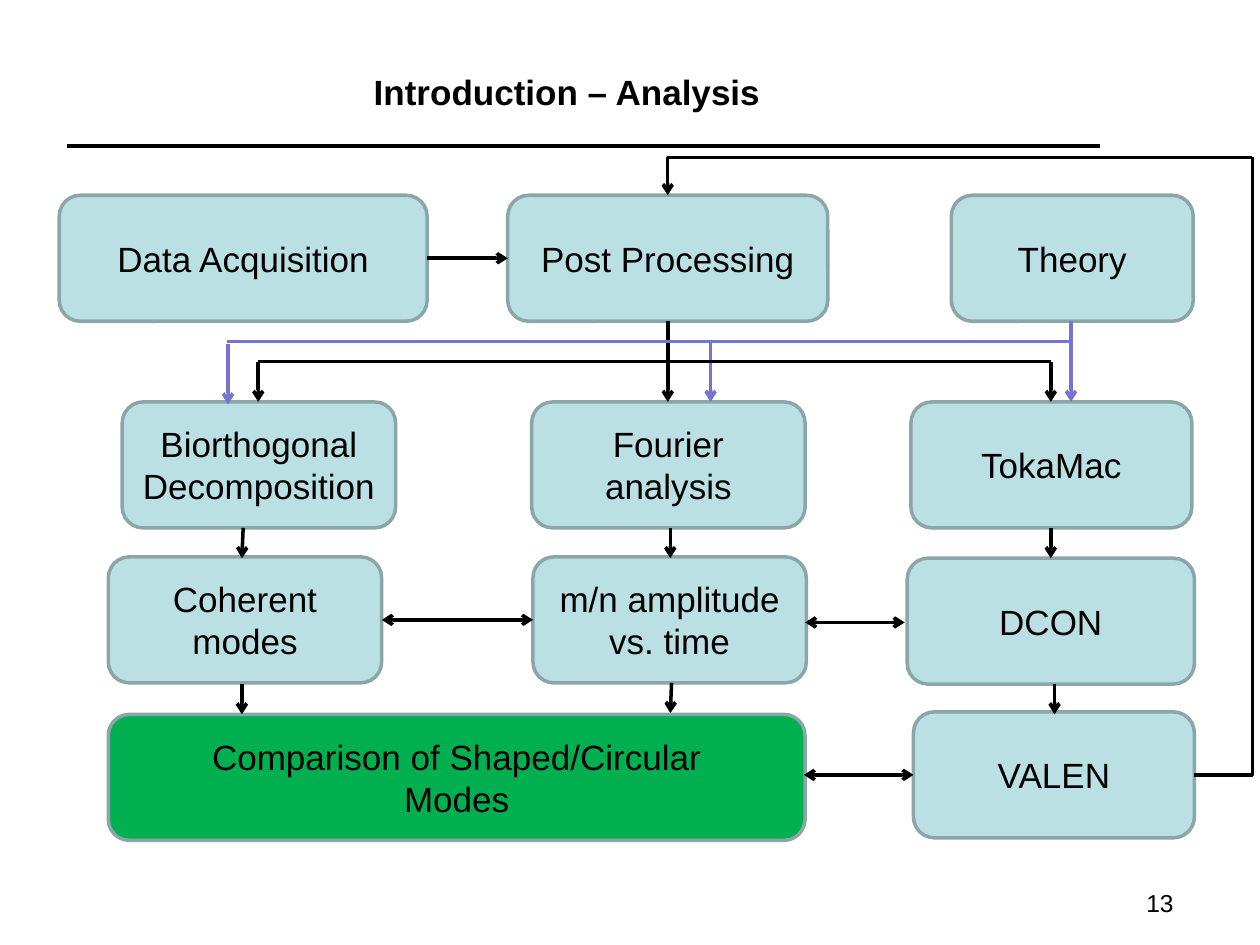
"""Build the analysis flow chart slide."""
from lxml.etree import SubElement
from pptx import Presentation
from pptx.dml.color import RGBColor
from pptx.enum.shapes import MSO_CONNECTOR, MSO_SHAPE
from pptx.enum.text import MSO_ANCHOR, PP_ALIGN
from pptx.oxml.ns import qn
from pptx.util import Inches, Pt

BLACK = RGBColor(0x00, 0x00, 0x00)
PALE_BLUE = RGBColor(0xBB, 0xE0, 0xE3)
GREEN = RGBColor(0x00, 0xB0, 0x50)
OUTLINE = RGBColor(0x8A, 0xA6, 0xA8)
VIOLET = RGBColor(0x75, 0x75, 0xD1)

FONT = "Arial"
BOX_HEIGHT = 1
VERTICAL_FIRST, HORIZONTAL_FIRST = 0, 100000

TITLE = "Introduction – Analysis"
PAGE_NUMBER = "13"

BOXES = [
    ("Data Acquisition", 0.47, 1.55, 2.92, PALE_BLUE),
    ("Post Processing", 4.03, 1.55, 2.54, PALE_BLUE),
    ("Theory", 7.55, 1.55, 1.92, PALE_BLUE),
    ("Biorthogonal Decomposition", 0.97, 3.19, 2.17, PALE_BLUE),
    ("Fourier analysis", 4.22, 3.19, 2.17, PALE_BLUE),
    ("TokaMac", 7.23, 3.19, 2.23, PALE_BLUE),
    ("Coherent modes", 0.86, 4.42, 2.17, PALE_BLUE),
    ("m/n amplitude vs. time", 4.23, 4.42, 2.17, PALE_BLUE),
    ("DCON", 7.2, 4.43, 2.28, PALE_BLUE),
    ("Comparison of Shaped/Circular\nModes", 0.86, 5.67, 5.53, GREEN),
    ("VALEN", 7.25, 5.65, 2.23, PALE_BLUE),
]
ARROWS = [
    ((3.39, 2.05), (4.03, 2.05), BLACK),
    ((5.3, 2.55), (5.3, 3.19), BLACK),
    ((2.05, 2.87), (2.05, 3.19), BLACK),
    ((8.34, 2.87), (8.34, 3.19), BLACK),
    ((8.5, 2.55), (8.5, 3.19), VIOLET),
    ((5.64, 2.71), (5.64, 3.19), VIOLET),
    ((1.81, 2.73), (1.81, 3.21), VIOLET),
    ((1.93, 4.19), (1.92, 4.43), BLACK),
    ((5.32, 4.19), (5.32, 4.43), BLACK),
    ((8.34, 4.19), (8.34, 4.43), BLACK),
    ((1.92, 5.43), (1.92, 5.67), BLACK),
    ((5.33, 5.42), (5.32, 5.66), BLACK),
    ((8.37, 5.43), (8.37, 5.67), BLACK),
]
DOUBLE_ARROWS = [
    ((3.03, 4.92), (4.23, 4.92)),
    ((6.39, 4.94), (7.18, 4.94)),
    ((6.38, 6.15), (7.25, 6.15)),
]
ELBOWS = [
    ((5.3, 2.55), (2.05, 2.87), BLACK, VERTICAL_FIRST, ()),
    ((5.3, 2.55), (8.34, 2.87), BLACK, VERTICAL_FIRST, ()),
    ((8.5, 2.55), (1.8, 2.71), VIOLET, VERTICAL_FIRST, ()),
    ((9.94, 1.25), (9.48, 6.15), BLACK, VERTICAL_FIRST, ()),
    ((9.94, 1.25), (5.3, 1.55), BLACK, HORIZONTAL_FIRST, ("tailEnd",)),
]


def style_text(tf, size, align, bold=False):
    tf.word_wrap = True
    for p in tf.paragraphs:
        p.alignment = align
        for r in p.runs:
            r.font.name = FONT
            r.font.size = Pt(size)
            r.font.bold = bold
            r.font.color.rgb = BLACK


def add_box(s, text, left, top, width, fill):
    sp = s.shapes.add_shape(MSO_SHAPE.ROUNDED_RECTANGLE, Inches(left), Inches(top),
                            Inches(width), Inches(BOX_HEIGHT))
    sp.shadow.inherit = False
    sp.fill.solid()
    sp.fill.fore_color.rgb = fill
    sp.line.color.rgb = OUTLINE
    sp.line.width = Pt(2)
    sp.text_frame.text = text
    sp.text_frame.vertical_anchor = MSO_ANCHOR.MIDDLE
    style_text(sp.text_frame, 20, PP_ALIGN.CENTER)


def add_line(s, start, end, color=BLACK, ends=(), kind=MSO_CONNECTOR.STRAIGHT):
    line = s.shapes.add_connector(kind, *(Inches(v) for v in start + end))
    line.line.color.rgb = color
    line.line.width = Pt(2)
    ln = line.line._get_or_add_ln()
    for tag in ends:
        SubElement(ln, qn(f"a:{tag}"), type="arrow")
    SubElement(line._element.spPr, qn("a:effectLst"))
    return line


def add_elbow(s, start, end, color, bend, ends):
    line = add_line(s, start, end, color, ends, MSO_CONNECTOR.ELBOW)
    guides = line._element.spPr.find(qn("a:prstGeom")).get_or_add_avLst()
    SubElement(guides, qn("a:gd"), name="adj1", fmla=f"val {bend}")


def main():
    prs = Presentation()
    prs.slide_width, prs.slide_height = Inches(10), Inches(7.5)
    s = prs.slides.add_slide(prs.slide_layouts[5])

    title = s.shapes.title
    title.left, title.top = Inches(0.25), Inches(0.35)
    title.width, title.height = Inches(8.5), Inches(0.75)
    title.text_frame.text = TITLE
    title.text_frame.vertical_anchor = MSO_ANCHOR.MIDDLE
    style_text(title.text_frame, 20, PP_ALIGN.CENTER, bold=True)
    add_line(s, (0.53, 1.16), (8.73, 1.16))

    number = s.shapes.add_textbox(Inches(9), Inches(7), Inches(0.5), Inches(0.35))
    number.text_frame.text = PAGE_NUMBER
    style_text(number.text_frame, 14, PP_ALIGN.LEFT)

    for box in BOXES:
        add_box(s, *box)
    for start, end, color in ARROWS:
        add_line(s, start, end, color, ("tailEnd",))
    for start, end in DOUBLE_ARROWS:
        add_line(s, start, end, ends=("headEnd", "tailEnd"))
    for elbow in ELBOWS:
        add_elbow(s, *elbow)

    prs.save("out.pptx")


if __name__ == "__main__":
    main()
